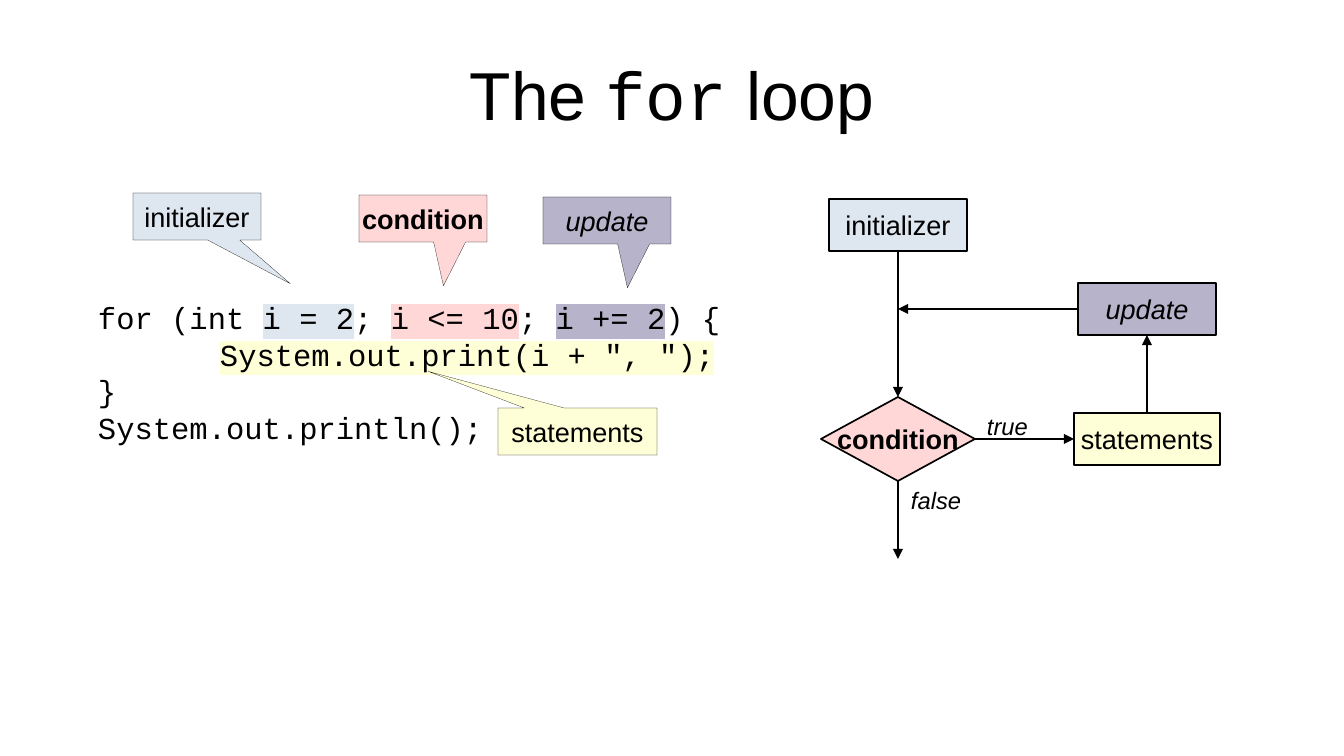
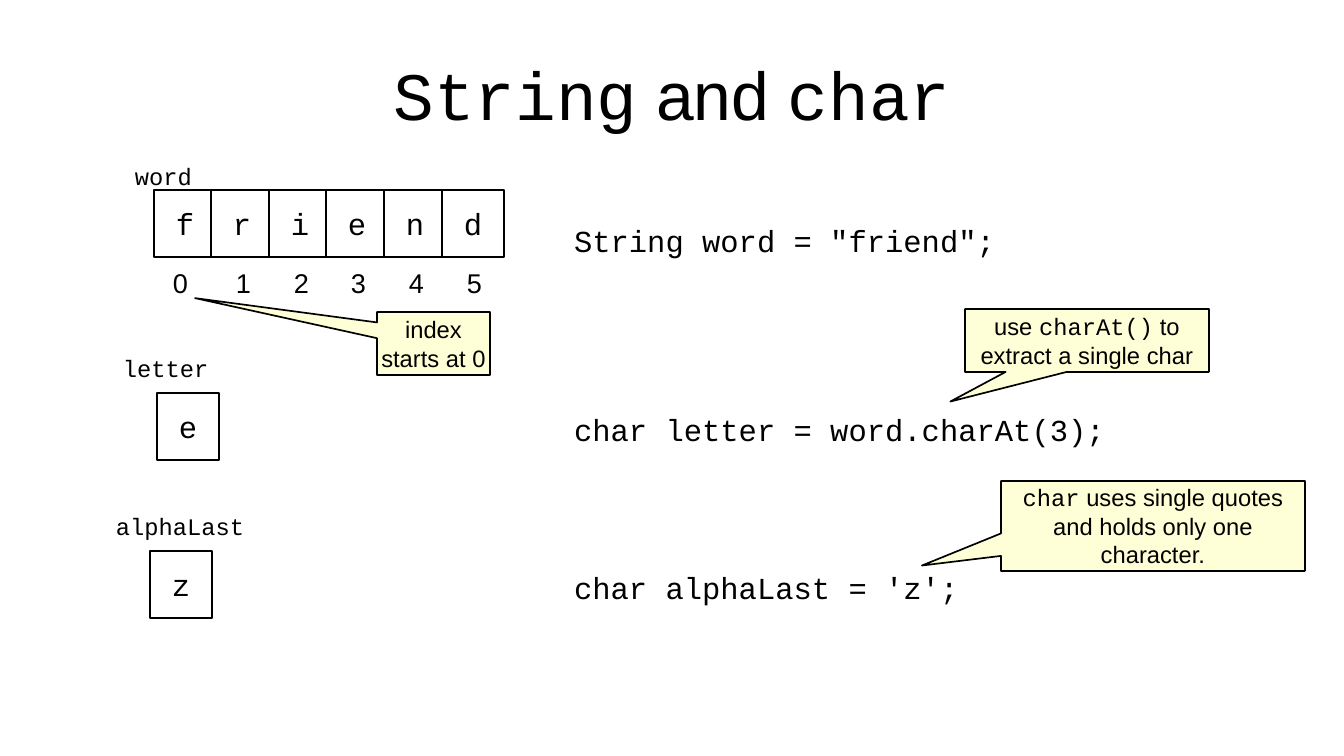
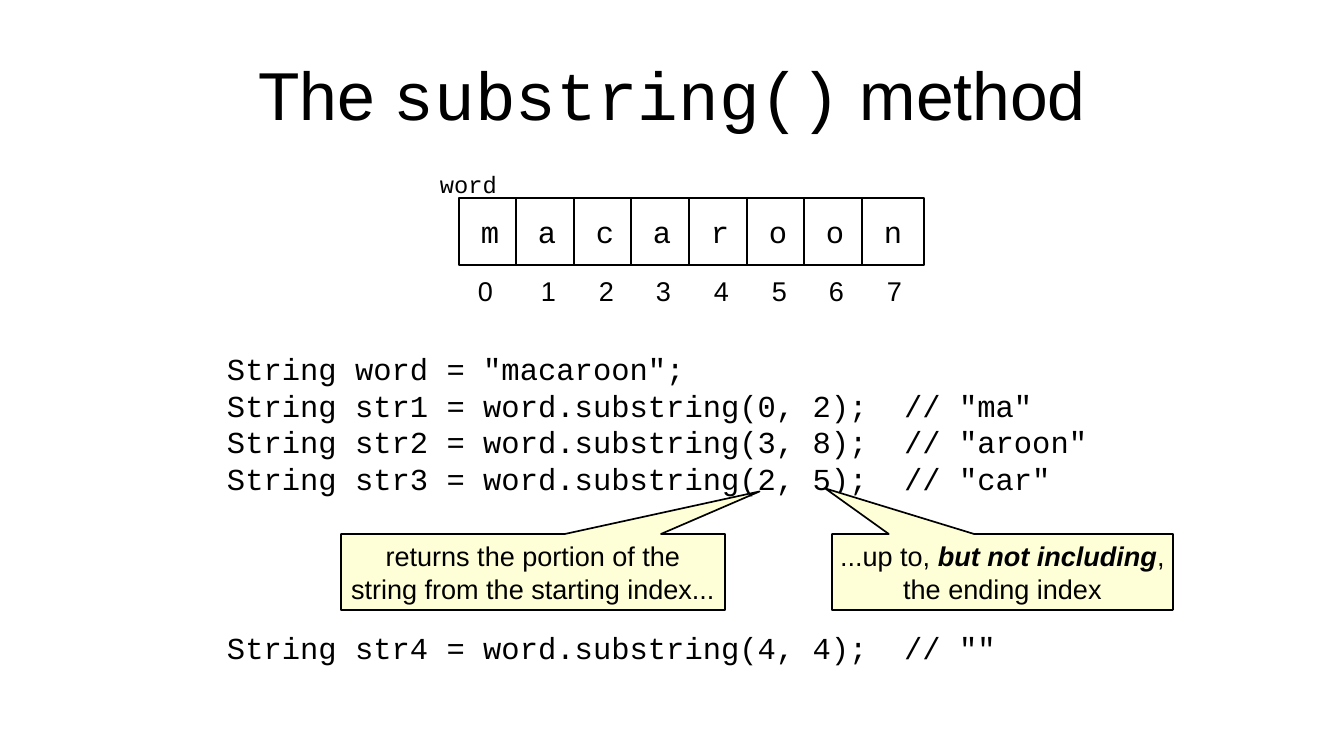
from lxml import etree
from pptx import Presentation
from pptx.dml.color import RGBColor
from pptx.enum.shapes import MSO_CONNECTOR, MSO_SHAPE
from pptx.enum.text import MSO_ANCHOR, MSO_AUTO_SIZE, PP_ALIGN
from pptx.oxml.ns import qn
from pptx.util import Pt

PX = 914400 / 122
RECT = MSO_SHAPE.RECTANGLE
CALLOUT = MSO_SHAPE.RECTANGULAR_CALLOUT
PROCESS = MSO_SHAPE.FLOWCHART_PROCESS
DECISION = MSO_SHAPE.FLOWCHART_DECISION
STRAIGHT = MSO_CONNECTOR.STRAIGHT
CENTER = PP_ALIGN.CENTER
LEFT = PP_ALIGN.LEFT
MIDDLE = MSO_ANCHOR.MIDDLE
TOP = MSO_ANCHOR.TOP
GROW = MSO_AUTO_SIZE.SHAPE_TO_FIT_TEXT

SANS, MONO = "Arial", "Courier New"
BLACK, WHITE = "000000", "FFFFFF"
BLUE, PINK, PURPLE, YELLOW = "DEE6EF", "FFD7D7", "B7B3CA", "FFFFD7"
TOP_SIDE, LEFT_SIDE, BOTTOM_SIDE, RIGHT_SIDE = range(4)
HAIRLINE = 0.1


def px(n):
    return round(n * PX)


def rgb(color):
    return RGBColor.from_string(color)


def mono(text):
    return text, {"font": MONO}


def marked(text, color):
    return text, {"highlight": color}


def add_run(p, text, size, font=SANS, bold=None, italic=None, highlight=None):
    r = p.add_run()
    r.text = text
    r.font.size = Pt(size)
    r.font.name = font
    r.font.bold = bold
    r.font.italic = italic
    r.font.color.rgb = rgb(BLACK)
    if highlight:
        mark = etree.Element(qn("a:highlight"))
        etree.SubElement(mark, qn("a:srgbClr")).set("val", highlight)
        r.font._element.find(qn("a:solidFill")).addnext(mark)


def write(tf, lines, size, align=CENTER, anchor=MIDDLE, wrap=False, **style):
    tf.word_wrap = wrap
    tf.vertical_anchor = anchor
    for i, line in enumerate(lines):
        p = tf.paragraphs[0] if i == 0 else tf.add_paragraph()
        p.alignment = align
        for part in [line] if isinstance(line, str) else line:
            text, own = (part, {}) if isinstance(part, str) else part
            add_run(p, text, size, **{**style, **own})


def add_text(shapes, x, y, w, h, lines, size, **style):
    sp = shapes.add_textbox(px(x), px(y), px(w), px(h))
    write(sp.text_frame, lines, size, align=LEFT, anchor=TOP, **style)
    sp.text_frame.auto_size = GROW
    return sp


def add_box(shapes, kind, x, y, w, h, fill, lines, size, line=1, **style):
    sp = shapes.add_shape(kind, px(x), px(y), px(w), px(h))
    sp.shadow.inherit = False
    sp.fill.solid()
    sp.fill.fore_color.rgb = rgb(fill)
    sp.line.color.rgb = rgb(BLACK)
    sp.line.width = Pt(line)
    write(sp.text_frame, lines, size, **style)
    return sp


def add_callout(s, x, y, w, h, tip, lines, size, fill=YELLOW, **style):
    sp = add_box(s.shapes, CALLOUT, x, y, w, h, fill, lines, size, **style)
    sp.adjustments[0], sp.adjustments[1] = tip


def add_arrow(s, start, side, end, end_side=None):
    c = s.shapes.add_connector(STRAIGHT, 0, 0, 0, 0)
    c.begin_connect(start, side)
    if end_side is None:
        c.end_x, c.end_y = px(end[0]), px(end[1])
    else:
        c.end_connect(end, end_side)
    c.line.color.rgb = rgb(BLACK)
    c.line.width = Pt(1)
    etree.SubElement(c.line._get_or_add_ln(), qn("a:tailEnd")).set("type", "triangle")
    etree.SubElement(c._element.spPr, qn("a:effectLst"))


def add_code(s, x, y, w, h, lines, wrap=False):
    return add_text(s.shapes, x, y, w, h, lines, 18, font=MONO, wrap=wrap)


def add_cell(shapes, x, y, letter):
    add_box(shapes, RECT, x, y, 62, 67, WHITE, [letter], 18, font=MONO)


def add_array(s, x, y, name, letters):
    shapes = s.shapes.add_group_shape().shapes
    for i, letter in enumerate(letters):
        left = x + 288 * i // 5
        add_cell(shapes, left, y, letter)
        add_text(shapes, left + (13 if i else 7), y + 70, 39, 43, [str(i)], 16)
    add_text(shapes, x - 31, y - 34, 90, 39, [name], 14, font=MONO)


def add_variable(s, x, y, name, name_w, letter):
    shapes = s.shapes.add_group_shape().shapes
    add_cell(shapes, x, y, letter)
    add_text(shapes, x - 46, y - 45, name_w, 39, [name], 14, font=MONO)


def add_flowchart(s, x, y):
    def step(kind, dx, dy, w, h, fill, text, **style):
        return add_box(s.shapes, kind, x + dx, y + dy, w, h, fill, [text], 16, **style)

    init = step(PROCESS, 8, 0, 138, 52, BLUE, "initializer")
    cond = step(DECISION, 0, 198, 154, 84, PINK, "condition", bold=True)
    body = step(PROCESS, 253, 214, 146, 52, YELLOW, "statements")
    update = step(PROCESS, 257, 84, 138, 52, PURPLE, "update", italic=True)
    add_arrow(s, init, BOTTOM_SIDE, cond, TOP_SIDE)
    add_arrow(s, cond, RIGHT_SIDE, body, LEFT_SIDE)
    add_arrow(s, body, TOP_SIDE, update, BOTTOM_SIDE)
    add_arrow(s, update, LEFT_SIDE, (x + 77, y + 110))
    add_arrow(s, cond, BOTTOM_SIDE, (x + 77, y + 360))
    add_text(s.shapes, x + 154, y + 207, 80, 39, ["true"], 14, italic=True)
    add_text(s.shapes, x + 78, y + 281, 90, 39, ["false"], 14, italic=True)


def add_slide(prs, title):
    s = prs.slides.add_slide(prs.slide_layouts[6])
    sp = s.shapes.add_textbox(px(67), px(30), px(1210), px(127))
    tf = sp.text_frame
    tf.margin_left = tf.margin_right = tf.margin_top = tf.margin_bottom = 0
    write(tf, [title], 40, wrap=True)
    return s


def for_loop_slide(prs):
    s = add_slide(prs, ["The ", mono("for"), " loop"])
    code = add_code(s, 86, 293, 680, 150, [
        ["for (int ", marked("i = 2", BLUE), "; ", marked("i <= 10", PINK), "; ",
         marked("i += 2", PURPLE), ") {"],
        [marked('System.out.print(i + ", ");', YELLOW)],
        "}",
        "System.out.println();",
    ], wrap=True)
    loop_body = code.text_frame.paragraphs[1]
    loop_body._p.get_or_add_pPr().set("marL", str(px(122)))
    for x, y, w, tip, fill, text, style in [
        (133, 193, 128, (0.73, 1.43), BLUE, "initializer", {}),
        (359, 195, 128, (0.16, 1.43), PINK, "condition", {"bold": True}),
        (543, 197, 128, (0.16, 1.43), PURPLE, "update", {"italic": True}),
        (498, 408, 159, (-0.94, -1.28), YELLOW, "statements", {}),
    ]:
        add_callout(s, x, y, w, 47, tip, [text], 16, fill, line=HAIRLINE, **style)
    add_flowchart(s, 821, 199)


def string_char_slide(prs):
    s = add_slide(prs, [mono("String"), " and ", mono("char")])
    add_array(s, 154, 190, "word", "friend")
    add_variable(s, 157, 393, "letter", 120, "e")
    add_variable(s, 150, 551, "alphaLast", 170, "z")
    for y, w, code in [
        (216, 445, 'String word = "friend";'),
        (405, 555, "char letter = word.charAt(3);"),
        (563, 409, "char alphaLast = 'z';"),
    ]:
        add_code(s, 562, y, w, 46, [code])
    add_callout(s, 377, 312, 113, 63, (-2.11, -0.72), ["index", "starts at 0"], 14)
    add_callout(s, 965, 309, 244, 63, (-0.56, 0.97),
                [["use ", mono("charAt()"), " to"], "extract a single char"], 14)
    add_callout(s, 1001, 481, 304, 90, (-0.76, 0.44),
                [[mono("char"), " uses single quotes"], "and holds only one", "character."], 14)


def substring_slide(prs):
    s = add_slide(prs, ["The ", mono("substring()"), " method"])
    add_array(s, 459, 198, "word", "macaroon")
    add_code(s, 215, 344, 972, 150, [
        'String word = "macaroon";',
        'String str1 = word.substring(0, 2);  // "ma"',
        'String str2 = word.substring(3, 8);  // "aroon"',
        'String str3 = word.substring(2, 5);  // "car"',
    ], wrap=True)
    add_callout(s, 832, 534, 341, 76, (-0.52, -1.1),
                [["...up to, ", ("but not including", {"bold": True, "italic": True}), ","],
                 "the ending index"], 16)
    add_callout(s, 341, 534, 384, 76, (0.59, -1.06),
                ["returns the portion of the", "string from the starting index..."], 16)
    add_code(s, 215, 623, 972, 50, ['String str4 = word.substring(4, 4);  // ""'], wrap=True)


def main():
    prs = Presentation()
    prs.slide_width, prs.slide_height = px(1344), px(756)
    for_loop_slide(prs)
    string_char_slide(prs)
    substring_slide(prs)
    prs.save("out.pptx")


if __name__ == "__main__":
    main()
